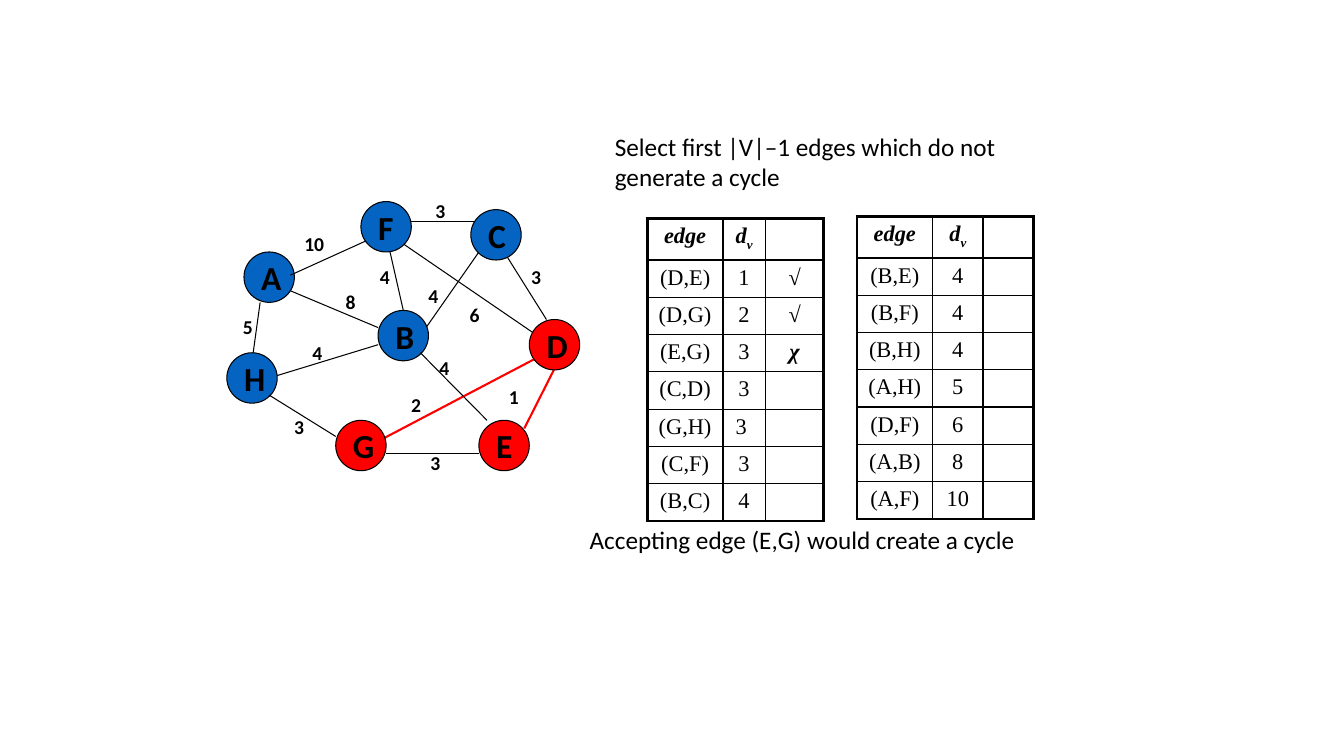
"""Build a slide showing Kruskal's algorithm rejecting an edge that closes a cycle."""
from lxml.etree import SubElement
from pptx import Presentation
from pptx.dml.color import RGBColor
from pptx.enum.shapes import MSO_CONNECTOR, MSO_SHAPE
from pptx.enum.text import MSO_ANCHOR, MSO_AUTO_SIZE, PP_ALIGN
from pptx.oxml.ns import qn
from pptx.util import Inches, Pt

BLACK = RGBColor(0x00, 0x00, 0x00)
RED = RGBColor(0xFF, 0x00, 0x00)
BLUE = RGBColor(0x05, 0x63, 0xC1)

NODES = {
    "A": (2.42, 2.5), "H": (2.25, 3.5), "B": (3.75, 3.08), "F": (3.58, 2),
    "E": (4.75, 4.17), "D": (5.25, 3.17), "C": (4.67, 2.08), "G": (3.33, 4.17),
}
REACHED_NODES = "DEG"

EDGES_BEHIND = {
    "DE": (5.62, 3.42, 5.2, 4.25), "BF": (3.83, 2.33, 4, 3.08),
    "BC": (4.17, 3.33, 4.75, 2.5), "DF": (5.33, 3.33, 4, 2.42),
    "BH": (2.67, 3.75, 3.75, 3.42), "DG": (3.67, 4.42, 5.42, 3.5),
    "AH": (2.5, 3.58, 2.58, 3), "AB": (2.75, 2.83, 3.75, 3.25),
    "CF": (4.05, 2.2, 4.72, 2.2), "CD": (5, 2.5, 5.42, 3.17),
}
EDGES_IN_FRONT = {
    "BE": (4.17, 3.5, 4.83, 4.17), "EG": (4.75, 4.5, 3.83, 4.5),
    "GH": (3.33, 4.33, 2.67, 3.92), "AF": (2.88, 2.73, 3.63, 2.39),
}
ACCEPTED_EDGES = ("DE", "DG")

WEIGHTS = [
    ("5", 2.31, 3.08), ("1", 4.95, 3.77), ("3", 4.17, 4.42), ("2", 3.98, 3.85),
    ("4", 4.26, 3.48), ("6", 4.56, 2.96), ("3", 5.17, 2.58), ("4", 4.15, 2.77),
    ("3", 4.22, 1.92), ("4", 3.67, 2.58), ("8", 3.33, 2.83), ("4", 3, 3.33),
    ("3", 2.82, 4.07), ("10", 2.92, 2.25),
]

SHORT_EDGES = [
    ("(D,E)", "1", "√"), ("(D,G)", "2", "√"), ("(E,G)", "3", "χ"),
    ("(C,D)", "3", ""), ("(G,H)", "3 ", ""), ("(C,F)", "3", ""), ("(B,C)", "4", ""),
]
LONG_EDGES = [
    ("(B,E)", "4", ""), ("(B,F)", "4", ""), ("(B,H)", "4", ""),
    ("(A,H)", "5", ""), ("(D,F)", "6", ""), ("(A,B)", "8", ""), ("(A,F)", "10", ""),
]


def add_text(paragraph, text, size=18, font="Calibri", bold=False, italic=False, subscript=False):
    run = paragraph.add_run()
    run.text = text
    run.font.size = Pt(size)
    run.font.name = font
    run.font.bold = bold
    run.font.italic = italic
    run.font.color.rgb = BLACK
    if subscript:
        run.font._element.set("baseline", "-25000")


class GraphSlide:
    thin = 0.75
    thick = 1.5
    frame = 2.25
    grid = 1
    node_size = 0.5
    header_height = 0.41
    row_height = 0.37

    def __init__(self, slide):
        self.slide = slide

    def text(self, text, left, top, width, height, **text_format):
        box = self.slide.shapes.add_textbox(Inches(left), Inches(top), Inches(width), Inches(height))
        box.text_frame.word_wrap = True
        box.text_frame.auto_size = MSO_AUTO_SIZE.SHAPE_TO_FIT_TEXT
        add_text(box.text_frame.paragraphs[0], text, **text_format)

    def edge(self, name, points):
        connector = self.slide.shapes.add_connector(MSO_CONNECTOR.STRAIGHT, *map(Inches, points))
        accepted = name in ACCEPTED_EDGES
        connector.line.color.rgb = RED if accepted else BLACK
        connector.line.width = Pt(self.thick if accepted else self.thin)
        SubElement(connector._element.spPr, qn("a:effectLst"))

    def node(self, name, left, top):
        size = Inches(self.node_size)
        shape = self.slide.shapes.add_shape(MSO_SHAPE.OVAL, Inches(left), Inches(top), size, size)
        shape.shadow.inherit = False
        shape.fill.solid()
        shape.fill.fore_color.rgb = RED if name in REACHED_NODES else BLUE
        shape.line.color.rgb = BLACK
        shape.line.width = Pt(self.thin)
        shape.text_frame.word_wrap = False
        shape.text_frame.vertical_anchor = MSO_ANCHOR.MIDDLE
        paragraph = shape.text_frame.paragraphs[0]
        paragraph.alignment = PP_ALIGN.LEFT
        add_text(paragraph, name, size=24, bold=True)

    def borders(self, cell, outer_sides):
        properties = cell._tc.get_or_add_tcPr()
        for side in "LRTB":
            width = self.frame if side in outer_sides else self.grid
            line = SubElement(properties, qn(f"a:ln{side}"), w=str(Pt(width)))
            fill = SubElement(line, qn("a:solidFill"))
            SubElement(fill, qn("a:srgbClr"), val=str(BLACK))

    def cell(self, cell, text, emphasis):
        paragraph = cell.text_frame.paragraphs[0]
        paragraph.alignment = PP_ALIGN.CENTER
        style = {"size": 16, "font": "Times New Roman", "bold": emphasis, "italic": emphasis}
        if not text:
            cell.margin_top = cell.margin_bottom = 0
        elif text == "dv":
            add_text(paragraph, "d", **style)
            add_text(paragraph, "v", subscript=True, **style)
        else:
            add_text(paragraph, text, **style)

    def table(self, edges, left, top, widths):
        rows = [("edge", "dv", ""), *edges]
        heights = [self.header_height] + [self.row_height] * len(edges)
        table = self.slide.shapes.add_table(
            len(rows), len(widths), Inches(left), Inches(top), Inches(sum(widths)), Inches(sum(heights))
        ).table
        table.first_row = table.horz_banding = False
        for column, width in zip(table.columns, widths):
            column.width = Inches(width)
        for row, height in zip(table.rows, heights):
            row.height = Inches(height)
        last_row, last_column = len(rows) - 1, len(widths) - 1
        for row_index, row in enumerate(rows):
            for column_index, text in enumerate(row):
                cell = table.cell(row_index, column_index)
                outer_sides = {0: "L", last_column: "R"}.get(column_index, "")
                outer_sides += {0: "T", last_row: "B"}.get(row_index, "")
                self.borders(cell, outer_sides)
                cell.fill.background()
                self.cell(cell, text, row_index == 0 or column_index == last_column)


def main():
    presentation = Presentation()
    presentation.slide_width = Inches(13.33)
    presentation.slide_height = Inches(7.5)
    graph = GraphSlide(presentation.slides.add_slide(presentation.slide_layouts[6]))

    graph.text("Select first |V|–1 edges which do not generate a cycle", 6, 1.25, 4.42, 0.71)
    graph.table(SHORT_EDGES, 6.42, 2.17, [0.75, 0.42, 0.58])
    for name, points in EDGES_BEHIND.items():
        graph.edge(name, points)
    for name, position in NODES.items():
        graph.node(name, *position)
    for name, points in EDGES_IN_FRONT.items():
        graph.edge(name, points)
    for weight, left, top in WEIGHTS:
        graph.text(weight, left, top, 0.5 if weight == "10" else 0.33, 0.33, size=14, bold=True)
    graph.table(LONG_EDGES, 8.5, 2.15, [0.75, 0.5, 0.5])
    graph.text("Accepting edge (E,G) would create a cycle", 5.75, 5.15, 5.08, 0.4)
    presentation.save("out.pptx")


if __name__ == "__main__":
    main()
